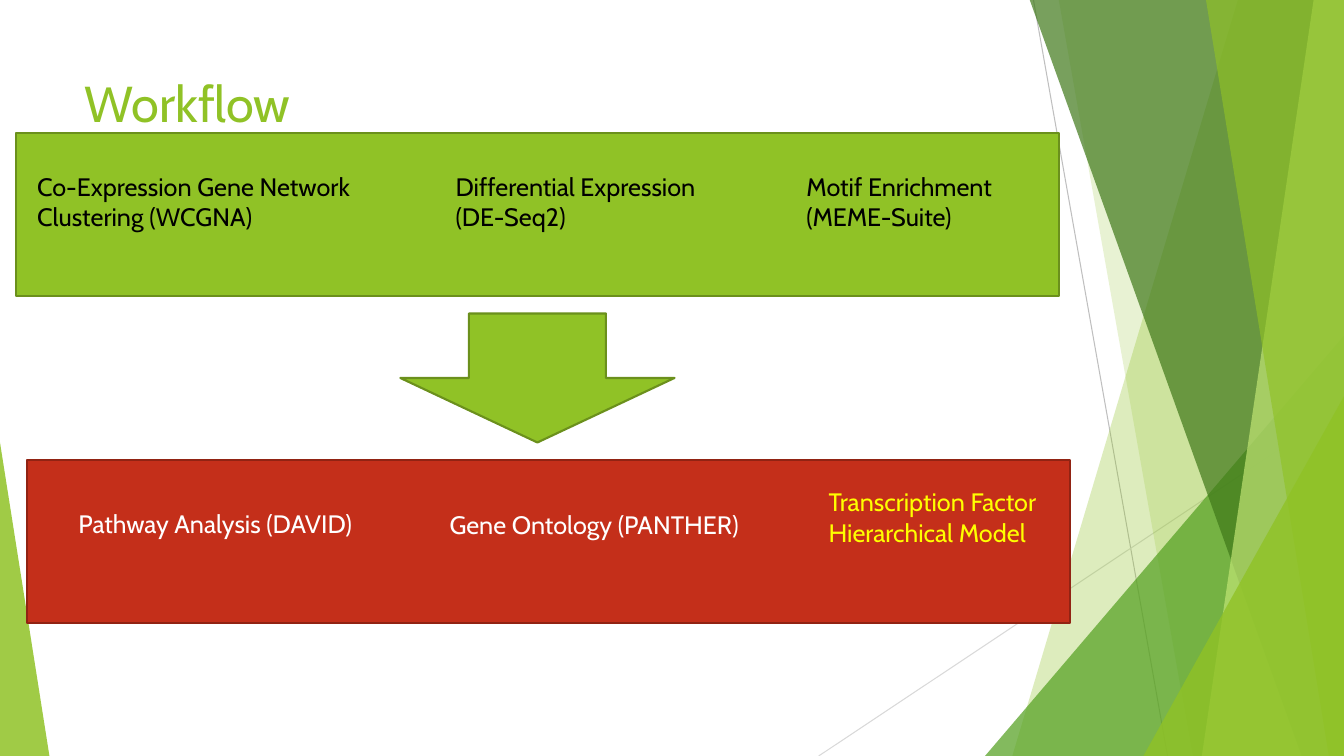
from lxml.etree import SubElement
from pptx import Presentation
from pptx.dml.color import RGBColor
from pptx.enum.shapes import MSO_CONNECTOR, MSO_SHAPE
from pptx.enum.text import MSO_ANCHOR, PP_ALIGN
from pptx.oxml.ns import qn
from pptx.util import Inches, Pt

FONT = "Cabin"
COLORS = {
    "green": "90C226", "green edge": "6B901C", "leaf": "54A021",
    "forest": "3F7819", "lime": "C0E474", "red": "C42F1A",
    "red edge": "912313", "black": "000000", "white": "FFFFFF",
    "yellow": "FFFF00", "gray": "BFBFBF", "light gray": "D9D9D9",
}
WIDTH, HEIGHT = 13.33, 7.5


def color(name):
    return RGBColor.from_string(COLORS[name])


def paint(shape, fill, opacity=100, edge=None):
    """Fill a shape, with an opacity in percent and an optional outline."""
    shape.shadow.inherit = False
    shape.fill.solid()
    shape.fill.fore_color.rgb = color(fill)
    if opacity < 100:
        srgb = shape.fill._xPr.find(qn("a:solidFill")).find(qn("a:srgbClr"))
        SubElement(srgb, qn("a:alpha")).set("val", str(opacity * 1000))
    if edge:
        shape.line.color.rgb = color(edge)
        shape.line.width = Pt(1.5)
    else:
        shape.line.fill.background()


deck = Presentation()
deck.slide_width, deck.slide_height = Inches(WIDTH), Inches(HEIGHT)
page = deck.slides.add_slide(deck.slide_layouts[5])
shapes = page.shapes

# Thin lines behind the facets
for x1, y1, x2, name in [(10.25, 0, 11.58, "gray"),
                         (WIDTH, 4.03, 8.12, "light gray")]:
    ray = shapes.add_connector(MSO_CONNECTOR.STRAIGHT, Inches(x1), Inches(y1),
                               Inches(x2), Inches(HEIGHT))
    ray.line.color.rgb = color(name)
    ray.line.width = Pt(0.75)
    SubElement(ray._element.spPr, qn("a:effectLst"))

# Facets: a slanted left edge given as (top x, bottom x), or a triangle
# given as (left, top, width, apex position)
facets = [
    ((12.28, 10.04), "green", 30),
    ((10.5, 11.83), "green", 20),
    ((9.77, 3.33, 3.56, 1), "leaf", 72),
    ((10.21, 12.91), "forest", 70),
    ((13.03, 11.92), "lime", 70),
    ((11.96, 13.18), "green", 65),
    ((11.34, 3.93, 1.99, 1), "green", 80),
    ((0, 4.39, 0.49, 0), "green", 85),
]
for outline, fill, opacity in facets:
    if len(outline) == 2:
        top_x, bottom_x = outline
        builder = shapes.build_freeform(Inches(top_x), Inches(-0.01))
        corners = [(WIDTH, -0.01), (WIDTH, HEIGHT), (bottom_x, HEIGHT)]
        builder.add_line_segments([(Inches(x), Inches(y)) for x, y in corners])
        facet = builder.convert_to_shape()
    else:
        left, top, width, apex = outline
        facet = shapes.add_shape(MSO_SHAPE.ISOSCELES_TRIANGLE, Inches(left),
                                 Inches(top), Inches(width), Inches(HEIGHT - top))
        facet.adjustments[0] = apex
    paint(facet, fill, opacity)

# Two stages of the workflow, joined by an arrow
stages = [
    (MSO_SHAPE.RECTANGLE, 0.16, 1.32, 10.34, 1.62, "green"),
    (MSO_SHAPE.DOWN_ARROW, 3.97, 3.11, 2.72, 1.28, "green"),
    (MSO_SHAPE.RECTANGLE, 0.27, 4.56, 10.34, 1.62, "red"),
]
for kind, left, top, width, height, fill in stages:
    stage = shapes.add_shape(kind, Inches(left), Inches(top),
                             Inches(width), Inches(height))
    paint(stage, fill, edge=f"{fill} edge")

title = shapes.title
title.left, title.top = Inches(0.74), Inches(0.67)
title.width, title.height = Inches(9.4), Inches(1.44)
title.text_frame.text = "Workflow"
title.text_frame.vertical_anchor = MSO_ANCHOR.TOP
para = title.text_frame.paragraphs[0]
para.alignment = PP_ALIGN.LEFT
para.font.name, para.font.size = FONT, Pt(36)
para.font.color.rgb = color("green")

steps = [
    ("Co-Expression Gene Network Clustering (WCGNA)", 0.27, 1.65, 3.68, 0.71, "black"),
    ("Differential Expression (DE-Seq2)", 4.42, 1.65, 2.85, 0.71, "black"),
    ("Motif Enrichment (MEME-Suite)", 7.9, 1.65, 2.6, 0.71, "black"),
    ("Pathway Analysis (DAVID)", 0.68, 4.99, 3.68, 0.4, "white"),
    ("Gene Ontology (PANTHER)", 4.36, 5, 3.68, 0.4, "white"),
    ("Transcription Factor Hierarchical Model", 8.12, 4.78, 2.39, 1.01, "yellow"),
]
for text, left, top, width, height, name in steps:
    box = shapes.add_textbox(Inches(left), Inches(top), Inches(width), Inches(height))
    box.text_frame.word_wrap = True
    para = box.text_frame.paragraphs[0]
    para.text = text
    para.font.name, para.font.size = FONT, Pt(18)
    para.font.color.rgb = color(name)

deck.save("out.pptx")
